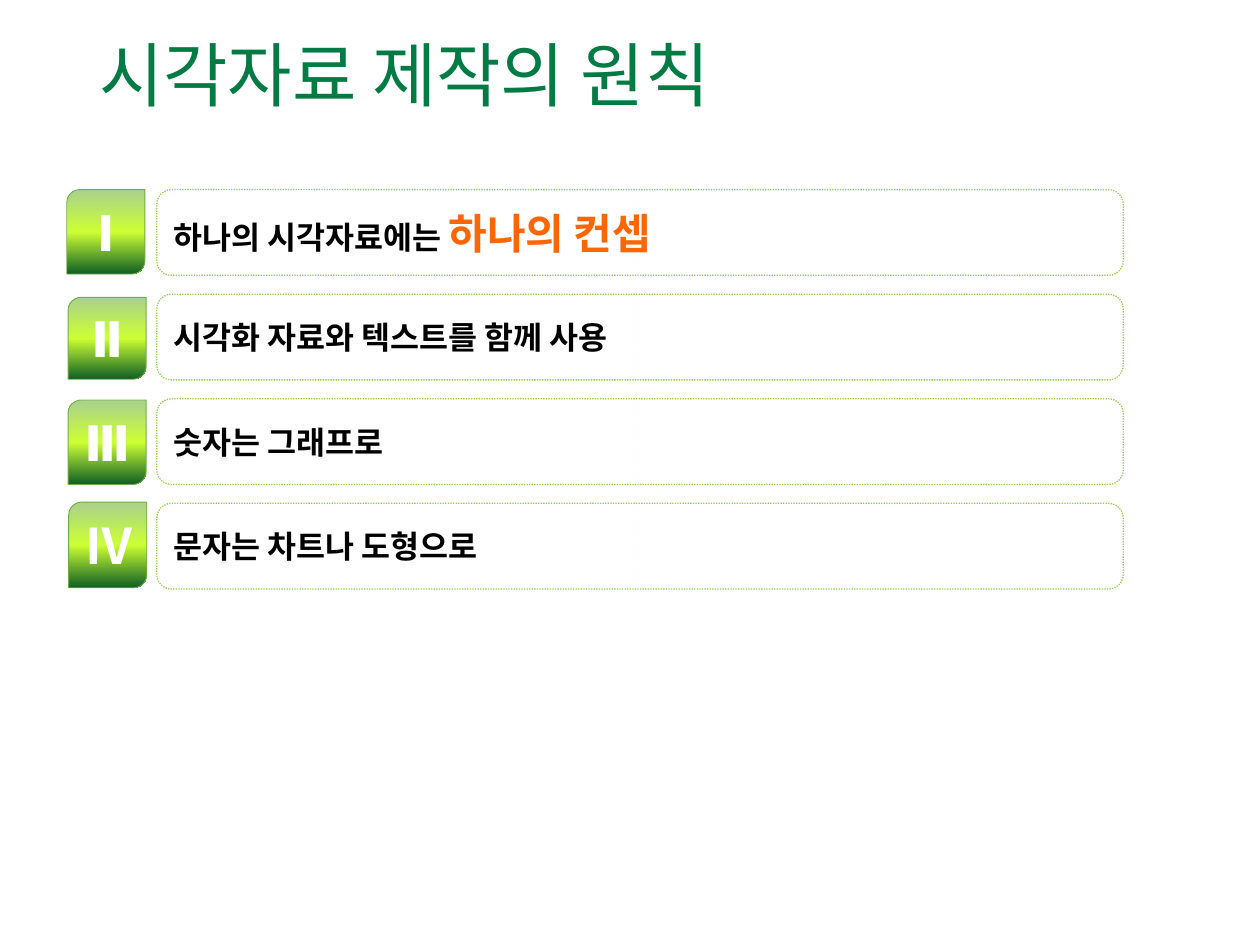
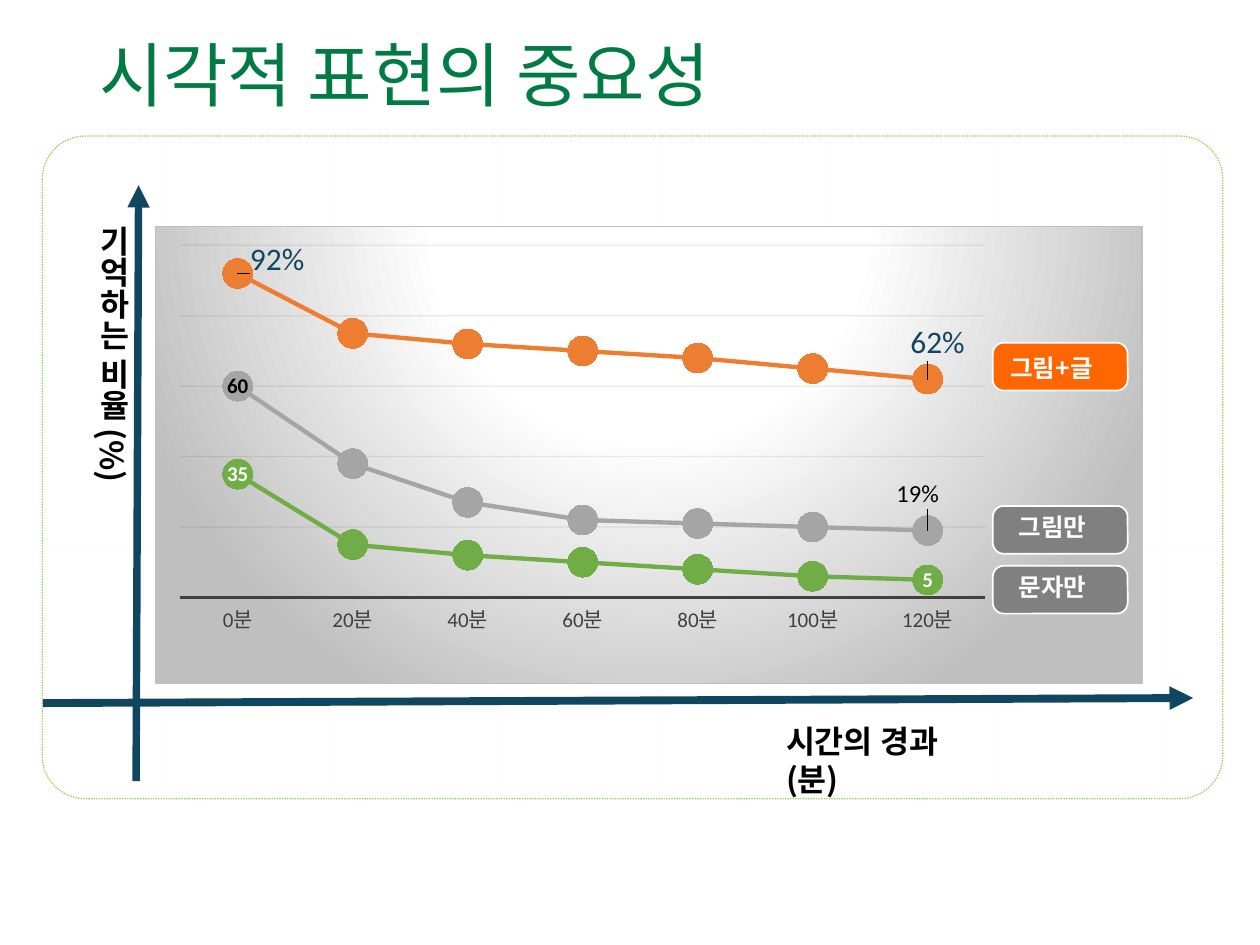
from dataclasses import dataclass
from typing import NamedTuple, Optional

from lxml.etree import SubElement
from pptx import Presentation
from pptx.chart.data import CategoryChartData
from pptx.dml.color import RGBColor
from pptx.enum.chart import XL_CHART_TYPE, XL_LABEL_POSITION, XL_MARKER_STYLE, XL_TICK_LABEL_POSITION, XL_TICK_MARK
from pptx.enum.dml import MSO_LINE
from pptx.enum.shapes import MSO_CONNECTOR, MSO_SHAPE
from pptx.enum.text import MSO_ANCHOR, MSO_AUTO_SIZE, PP_ALIGN
from pptx.oxml import parse_xml
from pptx.oxml.ns import nsdecls, qn
from pptx.util import Emu, Inches, Pt

COLS, ROWS = 100, 75


@dataclass(frozen=True)
class Theme:
    """Colours, fonts and type sizes of the deck."""
    title: str = "017B43"
    ink: str = "000000"
    white: str = "FFFFFF"
    accent: str = "FF6600"
    border: str = "92D050"
    navy: str = "114660"
    green: str = "70AD47"
    orange: str = "ED7D31"
    silver: str = "A5A5A5"
    tag: str = "808080"
    axis: str = "404040"
    edge: str = "BFBFBF"
    grid: str = "0D0D0D"
    korean: str = "Noto Sans CJK KR"
    latin: str = "Calibri"
    title_size: int = 40
    badge_size: int = 28
    big: int = 24
    body: int = 18
    tag_size: int = 14
    label: int = 12


T = Theme()


class Box(NamedTuple):
    """Left, top, width and height in grid columns and rows."""
    left: float
    top: float
    width: float
    height: float


class Stop(NamedTuple):
    """One gradient stop with percentages."""
    pos: int
    color: str
    alpha: int = 100


class Words(NamedTuple):
    """One text run with its look."""
    text: str
    size: int = T.body
    color: str = T.ink
    bold: bool = True
    font: str = T.korean


class Step(NamedTuple):
    """One principle: its runs and its numbered badge."""
    words: tuple
    numeral: str
    badge: Box
    font: str = T.latin


class Tag(NamedTuple):
    """One series tag beside the chart."""
    top: float
    color: str
    text: str
    text_box: Box


class Mark(NamedTuple):
    """One custom point label, moved by shares of the chart."""
    point: int
    text: str
    size: int
    dx: float
    dy: float


class Curve(NamedTuple):
    """One series with its labels."""
    name: str
    values: tuple
    color: str
    label_color: str
    marks: tuple = ()


PANEL = (Stop(0, T.white), Stop(100, T.white, 80))
BADGE = (Stop(0, "A9D18E"), Stop(50, "CCFF33"), Stop(100, "0F5F24"))
GLOW = (Stop(0, T.white), Stop(39, T.white), Stop(100, T.edge))

STEPS = (
    Step((Words("하나의 시각자료에는 "), Words("하나의 컨셉", T.big, T.accent)), "Ⅰ", Box(5.3, 15.05, 6.2, 6.7)),
    Step((Words("시각화 자료와 텍스트를 함께 사용"),), "Ⅱ", Box(5.4, 23.6, 6.2, 6.5)),
    Step((Words("숫자는 그래프로"),), "Ⅲ", Box(5.4, 31.75, 6.2, 6.7)),
    Step((Words("문자는 차트나 도형으로"),), "Ⅳ", Box(5.45, 39.85, 6.2, 6.8), T.korean),
)
TAGS = (
    Tag(27.2, T.accent, "그림+글", Box(79.2, 27.5, 9.5, 3.4)),
    Tag(40.15, T.tag, "그림만", Box(79.85, 40.15, 7.5, 3.4)),
    Tag(44.9, T.tag, "문자만", Box(79.85, 44.9, 7.5, 3.4)),
)
CURVES = (
    Curve("Series 1", (35, 15, 12, 10, 8, 6, 5), T.green, T.white),
    Curve("Series 2", (92, 75, 72, 70, 68, 65, 62), T.orange, T.navy,
          (Mark(0, "92%", T.body, 0.04, -0.03), Mark(6, "62%", T.body, 0.01, -0.08))),
    Curve("Series 3", (60, 38, 27, 22, 21, 20, 19), T.silver, T.ink,
          (Mark(6, "19%", T.tag_size, -0.01, -0.08),)),
)

prs = Presentation()
prs.slide_width, prs.slide_height = Inches(10), Inches(7.5)


def col(n: float) -> Emu:
    """Turn grid columns into a length."""
    return Emu(round(prs.slide_width * n / COLS))


def row(n: float) -> Emu:
    """Turn grid rows into a length."""
    return Emu(round(prs.slide_height * n / ROWS))


def place(box: Box) -> tuple:
    """Turn a grid box into lengths."""
    return col(box.left), row(box.top), col(box.width), row(box.height)


def rgb(color: str) -> RGBColor:
    """Read a hex colour."""
    return RGBColor.from_string(color)


def gradient(stops: tuple, direction: str = '<a:lin ang="5400000" scaled="0"/>') -> str:
    """Write a gradient fill."""
    marks = "".join(
        f'<a:gs pos="{g.pos * 1000}"><a:srgbClr val="{g.color}"><a:alpha val="{g.alpha * 1000}"/></a:srgbClr></a:gs>'
        for g in stops)
    return f'<a:gradFill {nsdecls("a")} rotWithShape="1"><a:gsLst>{marks}</a:gsLst>{direction}</a:gradFill>'


def add_runs(p, words: tuple) -> None:
    """Add styled runs, without pair kerning, to a paragraph."""
    for w in words:
        r = p.add_run()
        r.text = w.text
        r.font.size, r.font.bold, r.font.name = Pt(w.size), w.bold, w.font
        r.font.color.rgb = rgb(w.color)
        r.font._element.set("kern", "0")
        SubElement(r.font._element, qn("a:ea")).set("typeface", w.font)


def add_text(s, box: Box, words: Words, wrap: bool = False):
    """Add a text box and return its text frame."""
    tf = s.shapes.add_textbox(*place(box)).text_frame
    tf.word_wrap = wrap
    add_runs(tf.paragraphs[0], (words,))
    return tf


def add_title(s, text: str) -> None:
    """Add the slide title."""
    tf = add_text(s, Box(6.9, 0, 86.2, 12.6), Words(text, T.title_size, T.title, False), True)
    tf.vertical_anchor = MSO_ANCHOR.MIDDLE
    tf.paragraphs[0].line_spacing = 0.9


def add_figure(s, kind: MSO_SHAPE, box: Box, fill, line: str, width: float, corner: Optional[float] = None):
    """Add a preset shape with a solid or gradient fill."""
    sp = s.shapes.add_shape(kind, *place(box))
    sp.shadow.inherit = False
    if corner is not None:
        sp.adjustments[0] = corner
    sp.fill.solid()
    if isinstance(fill, str):
        sp.fill.fore_color.rgb = rgb(fill)
    else:
        pr = sp._element.spPr
        pr.replace(pr.find(qn("a:solidFill")), parse_xml(gradient(fill)))
    sp.line.color.rgb, sp.line.width = rgb(line), Pt(width)
    return sp


def add_panel(s, box: Box, corner: float):
    """Add a white rounded panel with a dotted edge."""
    sp = add_figure(s, MSO_SHAPE.ROUNDED_RECTANGLE, box, PANEL, T.border, 0.75, corner)
    sp.line.dash_style = MSO_LINE.ROUND_DOT
    return sp


def fill_shape(sp, words: tuple, align: PP_ALIGN) -> None:
    """Write vertically centred text into a shape."""
    tf = sp.text_frame
    tf.vertical_anchor, tf.word_wrap = MSO_ANCHOR.MIDDLE, True
    tf.paragraphs[0].alignment = align
    add_runs(tf.paragraphs[0], words)


def add_arrow(s, x1: float, y1: float, x2: float, y2: float, width: float) -> None:
    """Add an axis arrow between two grid points."""
    c = s.shapes.add_connector(MSO_CONNECTOR.STRAIGHT, col(x1), row(y1), col(x2), row(y2))
    c.line.color.rgb, c.line.width = rgb(T.navy), Pt(width)
    SubElement(c.line._get_or_add_ln(), qn("a:tailEnd")).set("type", "triangle")
    SubElement(c._element.spPr, qn("a:effectLst"))


def hide_label(ser, point: int) -> None:
    """Delete the label of one point."""
    label = ser.points[point].data_label._get_or_add_dLbl()
    for child in list(label)[1:]:
        label.remove(child)
    SubElement(label, qn("c:delete")).set("val", "1")


def add_mark(ser, m: Mark, color: str) -> None:
    """Write a custom label beside one point."""
    dl = ser.points[m.point].data_label
    add_runs(dl.text_frame.paragraphs[0], (Words(m.text, m.size, color, False, T.latin),))
    dl.position = XL_LABEL_POSITION.CENTER
    dl._dLbl.find(qn("c:idx")).addnext(parse_xml(
        f'<c:layout {nsdecls("c")}><c:manualLayout><c:x val="{m.dx}"/><c:y val="{m.dy}"/>'
        '</c:manualLayout></c:layout>'))


def label_curve(ser, curve: Curve) -> None:
    """Label the first and last point of a series, without leader lines."""
    labels = ser.data_labels
    labels.show_value, labels.position = True, XL_LABEL_POSITION.CENTER
    labels.font.size, labels.font.bold, labels.font.name = Pt(T.label), True, T.latin
    labels.font.color.rgb = rgb(curve.label_color)
    for point in range(1, len(curve.values) - 1):
        hide_label(ser, point)
    for m in curve.marks:
        add_mark(ser, m, curve.label_color)
    for lead in labels._element.findall(qn("c:showLeaderLines")):
        labels._element.remove(lead)
    labels._element.append(parse_xml(
        f'<c:extLst {nsdecls("c")}><c:ext uri="{{CE6537A1-D6FC-4f65-9D91-7224C49458BB}}" '
        'xmlns:c15="http://schemas.microsoft.com/office/drawing/2012/chart">'
        '<c15:showLeaderLines val="0"/></c:ext></c:extLst>'))


def style_curve(ser, curve: Curve) -> None:
    """Colour a series and its markers."""
    ser.smooth = False
    ser.format.line.color.rgb, ser.format.line.width = rgb(curve.color), Pt(2.5)
    ser.marker.style, ser.marker.size = XL_MARKER_STYLE.CIRCLE, 17
    for part in (ser.marker.format.fill, ser.marker.format.line.fill):
        part.solid()
        part.fore_color.rgb = rgb(curve.color)


def style_frame(chart) -> None:
    """Set the chart's background and its inner plot area."""
    glow = gradient(GLOW, '<a:path path="circle"><a:fillToRect l="50000" t="-80000" r="50000" b="180000"/></a:path>')
    chart._chartSpace.chart.addnext(parse_xml(
        f'<c:spPr {nsdecls("c", "a")}>{glow}<a:ln w="9525"><a:solidFill><a:srgbClr val="{T.edge}"/>'
        '</a:solidFill></a:ln></c:spPr>'))
    area = chart._chartSpace.chart.plotArea
    for old in area.findall(qn("c:layout")):
        area.remove(old)
    sizes = "".join(f'<c:{k} val="{v}"/>' for k, v in (("x", 0.025), ("y", 0.042), ("w", 0.816), ("h", 0.77)))
    area.insert(0, parse_xml(
        f'<c:layout {nsdecls("c")}><c:manualLayout><c:layoutTarget val="inner"/><c:xMode val="edge"/>'
        f'<c:yMode val="edge"/>{sizes}</c:manualLayout></c:layout>'))


def add_memory_chart(s) -> None:
    """Add the line chart of what is remembered over time."""
    data = CategoryChartData()
    data.categories = [f"{minute}분" for minute in range(0, 121, 20)]
    for curve in CURVES:
        data.add_series(curve.name, curve.values)
    chart = s.shapes.add_chart(XL_CHART_TYPE.LINE_MARKERS, *place(Box(12.3, 17.9, 78.4, 36.4)), data).chart
    chart.has_legend = chart.has_title = False
    chart.font.size, chart.font.name = Pt(10), T.latin
    chart.font.color.rgb = rgb(T.ink)
    chart.plots[0].vary_by_categories = False
    cat, val = chart.category_axis, chart.value_axis
    cat.major_tick_mark = cat.minor_tick_mark = XL_TICK_MARK.NONE
    cat.tick_label_position = XL_TICK_LABEL_POSITION.NEXT_TO_AXIS
    cat.tick_labels.font.size, cat.tick_labels.font.name = Pt(T.label), T.latin
    cat.tick_labels.font.color.rgb = rgb(T.axis)
    cat.format.line.color.rgb, cat.format.line.width = rgb(T.axis), Pt(1.5)
    val.visible, val.has_major_gridlines = False, True
    val.minimum_scale, val.maximum_scale, val.major_unit = 0, 100, 20
    line = val.major_gridlines.format.line
    line.color.rgb, line.width = rgb(T.grid), Pt(0.75)
    SubElement(val._element.find(".//" + qn("a:srgbClr")), qn("a:alpha")).set("val", "7000")
    for ser, curve in zip(chart.plots[0].series, CURVES):
        style_curve(ser, curve)
        label_curve(ser, curve)
    style_frame(chart)


def build_principles(s) -> None:
    """Build the slide of four principles."""
    add_title(s, "시각자료 제작의 원칙")
    for i, step in enumerate(STEPS):
        fill_shape(add_panel(s, Box(12.45, 15.05 + 8.3 * i, 76.7, 6.8), 0.17), step.words, PP_ALIGN.LEFT)
    for step in STEPS:
        sp = add_figure(s, MSO_SHAPE.ROUND_2_DIAG_RECTANGLE, step.badge, BADGE, T.green, 0.5)
        fill_shape(sp, (Words(step.numeral, T.badge_size, T.white, True, step.font),), PP_ALIGN.CENTER)


def build_importance(s) -> None:
    """Build the slide with the memory chart."""
    add_panel(s, Box(3.35, 10.8, 93.7, 52.6), 0.065)
    add_title(s, "시각적 표현의 중요성")
    add_memory_chart(s)
    tf = add_text(s, Box(6, 16.9, 5, 22.1), Words("기억하는 비율 (%)"))
    tf.auto_size = MSO_AUTO_SIZE.SHAPE_TO_FIT_TEXT
    tf._txBody.bodyPr.set("vert", "eaVert")
    add_text(s, Box(61.4, 56.8, 17, 4), Words("시간의 경과(분)"), True)
    for tag in TAGS:
        add_figure(s, MSO_SHAPE.ROUNDED_RECTANGLE, Box(78.8, tag.top, 10.7, 3.8), tag.color, T.white, 1, 0.228)
        add_text(s, tag.text_box, Words(tag.text, T.tag_size, T.white))
    add_arrow(s, 10.8, 62, 11, 14.7, 4.25)
    add_arrow(s, 3.4, 55.8, 94.7, 55.4, 4.5)


for build in (build_principles, build_importance):
    build(prs.slides.add_slide(prs.slide_layouts[6]))
prs.save("out.pptx")
